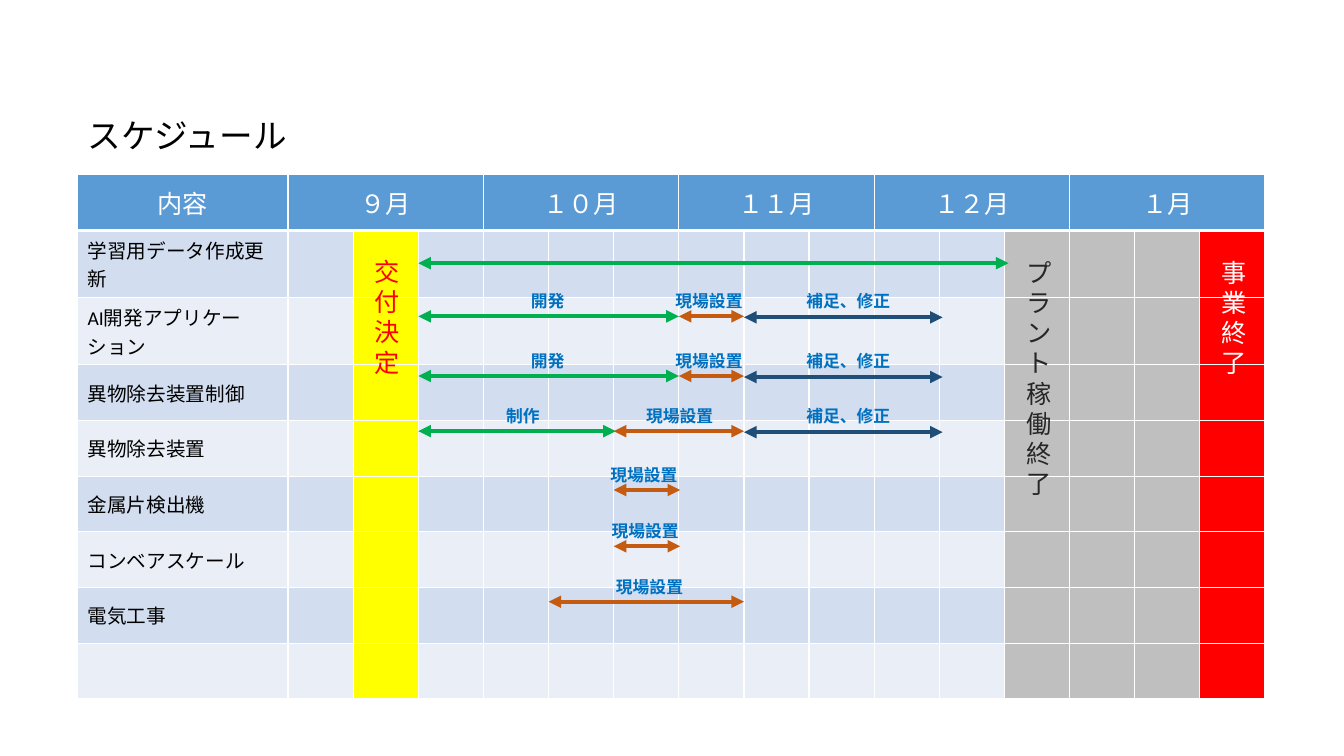
"""Build a project schedule slide: a month grid with task arrows and milestone columns."""
from lxml.etree import SubElement
from pptx import Presentation
from pptx.dml.color import RGBColor
from pptx.enum.shapes import MSO_CONNECTOR
from pptx.enum.text import MSO_ANCHOR, PP_ALIGN
from pptx.oxml.ns import qn
from pptx.util import Pt

THEME = {
    "font": "Calibri",
    "title_size": 24, "header_size": 18, "task_size": 14, "label_size": 12,
    "black": "000000", "white": "FFFFFF", "header": "5B9BD5",
    "bands": ("D2DEEF", "EAEFF7"), "label": "0070C0", "dark": "262626",
    "granted": "FFFF00", "stopped": "BFBFBF", "closed": "FF0000",
    "develop": "00B050", "install": "C55A11", "refine": "1F4E79",
}

TITLE = "スケジュール"
HEADING = "内容"
MONTHS = ["９月", "１０月", "１１月", "１２月", "１月"]
TASKS = ["学習用データ作成更新", "AI開発アプリケーション", "異物除去装置制御", "異物除去装置",
         "金属片検出機", "コンベアスケール", "電気工事", ""]
MILESTONE_COLUMNS = {2: "granted", 12: "stopped", 13: "stopped", 14: "stopped", 15: "closed"}

# Each phase: kind, first slot, last slot, label, label centre slot, label width.
INSTALL, REFINE = "現場設置", "補足、修正"
SOFTWARE_PHASES = [("develop", 2, 6, "開発", 4.24, 62), ("install", 6, 7, INSTALL, 6.53, 68.4),
                   ("refine", 7, 10.05, REFINE, 8.68, 81.4)]
PHASE_ROWS = [
    (188, [("develop", 2, 11.06, "", 0, 0)]),
    (226, SOFTWARE_PHASES),
    (268.6, SOFTWARE_PHASES),
    (308, [("develop", 2, 5.03, "制作", 3.86, 62), ("install", 5, 7, INSTALL, 6.08, 68.4),
           ("refine", 7, 10.05, REFINE, 8.68, 81.4)]),
    (350, [("install", 5, 6.02, INSTALL, 5.53, 68.4)]),
    (390.2, [("install", 5, 6.02, INSTALL, 5.55, 68.4)]),
    (429.8, [("install", 4, 7, INSTALL, 5.64, 70.6)]),
]
MILESTONES = [
    (["交付決定"], 255.6, 179.4, 94.3, "closed"),
    (["事業終了"], 860.4, 180, 94.3, "white"),
    (["プラン", "ト稼働終了"], 720.7, 180, 181.4, "dark"),
]

LEFT, TOP = 55.4, 124.8
TASK_WIDTH, SLOT, ROW_HEIGHT = 150.4, 46.52, 39.76
SLOTS_PER_MONTH = 3
SLOT_COUNT = SLOTS_PER_MONTH * len(MONTHS)
LABEL_RISE, LABEL_HEIGHT = 21.6, 21.6
REFINE_DROP = 0.7


def color(name):
    return RGBColor.from_string(THEME.get(name, name))


def slot_x(slot):
    return LEFT + TASK_WIDTH + slot * SLOT


def write(text_frame, lines, size, tone, bold=False, alignment=PP_ALIGN.LEFT):
    for index, line in enumerate(lines):
        paragraph = text_frame.add_paragraph() if index else text_frame.paragraphs[0]
        paragraph.alignment = alignment
        run = paragraph.add_run()
        run.text = line
        run.font.color.rgb = color(tone)
        formats = {"name": THEME["font"], "size": Pt(THEME[size]), "bold": bold}
        for attribute, value in formats.items():
            setattr(run.font, attribute, value)


def add_text(slide, box, lines, size, tone, **options):
    shape = slide.shapes.add_textbox(*map(Pt, box))
    shape.text_frame.word_wrap = True
    write(shape.text_frame, lines, size, tone, **options)


def style_cell(cell, fill, bottom_width=1):
    properties = cell._tc.get_or_add_tcPr()
    for side, width in {"lnL": 1, "lnR": 1, "lnT": 1, "lnB": bottom_width}.items():
        border = SubElement(properties, qn(f"a:{side}"), w=str(Pt(width)))
        solid = SubElement(border, qn("a:solidFill"))
        SubElement(solid, qn("a:srgbClr"), val=THEME["white"])
    cell.fill.solid()
    cell.fill.fore_color.rgb = color(fill)
    cell.vertical_anchor = MSO_ANCHOR.MIDDLE


def add_schedule(slide):
    row_count = len(TASKS) + 1
    box = (LEFT, TOP, TASK_WIDTH + SLOT * SLOT_COUNT, ROW_HEIGHT * row_count)
    table = slide.shapes.add_table(row_count, SLOT_COUNT + 1, *map(Pt, box)).table
    for index, column in enumerate(table.columns):
        column.width = Pt(SLOT if index else TASK_WIDTH)
    for row in table.rows:
        row.height = Pt(ROW_HEIGHT)
    for column in range(SLOT_COUNT + 1):
        style_cell(table.cell(0, column), "header", 3)
        for row in range(1, row_count):
            band = THEME["bands"][(row - 1) % 2]
            style_cell(table.cell(row, column), MILESTONE_COLUMNS.get(column, band))
    for index, heading in enumerate([HEADING] + MONTHS):
        first = 1 + (index - 1) * SLOTS_PER_MONTH if index else 0
        cell = table.cell(0, first)
        if index:
            cell.merge(table.cell(0, first + SLOTS_PER_MONTH - 1))
        write(cell.text_frame, [heading], "header_size", "white", alignment=PP_ALIGN.CENTER)
    for row, task in enumerate(TASKS, 1):
        if task:
            write(table.cell(row, 0).text_frame, [task], "task_size", "black")


def add_arrow(slide, kind, start, end, y):
    ends = (slot_x(start), y, slot_x(end), y)
    arrow = slide.shapes.add_connector(MSO_CONNECTOR.STRAIGHT, *map(Pt, ends))
    arrow.line.color.rgb = color(kind)
    arrow.line.width = Pt(3)
    line = arrow.line._get_or_add_ln()
    for end_name in ("headEnd", "tailEnd"):
        SubElement(line, qn(f"a:{end_name}"), type="triangle")
    SubElement(arrow._element.spPr, qn("a:effectLst"))


def add_phase(slide, y, phase):
    kind, start, end, label, center, width = phase
    add_arrow(slide, kind, start, end, y + REFINE_DROP * (kind == "refine"))
    if label:
        box = (slot_x(center) - width / 2, y - LABEL_RISE, width, LABEL_HEIGHT)
        add_text(slide, box, [label], "label_size", "label", bold=True)


def main():
    presentation = Presentation()
    presentation.slide_width, presentation.slide_height = Pt(960), Pt(540)
    slide = presentation.slides.add_slide(presentation.slide_layouts[6])
    add_schedule(slide)
    add_text(slide, (LEFT, 78.5, 187, 36), [TITLE], "title_size", "black")
    for y, phases in PHASE_ROWS:
        for phase in phases:
            add_phase(slide, y, phase)
    for lines, left, top, height, tone in MILESTONES:
        add_text(slide, (left, top, 42.5, height), lines, "header_size", tone,
                 alignment=PP_ALIGN.CENTER)
    presentation.save("out.pptx")


if __name__ == "__main__":
    main()
